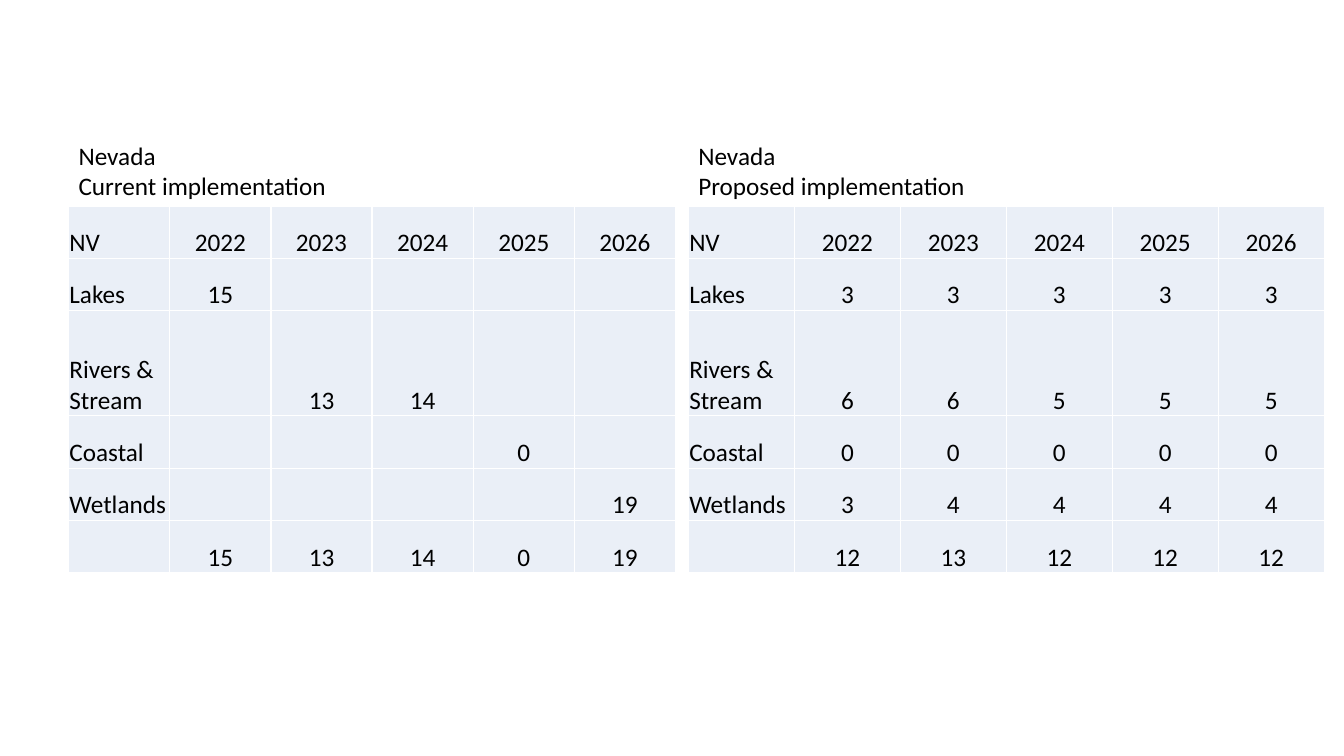
from lxml import etree
from pptx import Presentation
from pptx import util as u
from pptx.dml.color import RGBColor
from pptx.enum import text
from pptx.oxml.ns import qn

BLACK = RGBColor(0x00, 0x00, 0x00)
WHITE = RGBColor(0xFF, 0xFF, 0xFF)
PALE_BLUE = RGBColor(0xEA, 0xEF, 0xF7)

YEARS = [2022, 2023, 2024, 2025, 2026]
HABITATS = ["Lakes", "Rivers & Stream", "Coastal", "Wetlands"]
ROW_HEIGHTS = [1.32, 1.32, 2.65, 1.32, 1.32, 1.32]
TABLE_TOP = 5.19
HEADING_TOP = 3.4
HEADING_HEIGHT = 1.8

PLANS = [
    {
        "name": "Current implementation",
        "left": 1.73,
        "heading_width": 6.81,
        "column": 2.55,
        "counts": [
            [15, None, None, None, None],
            [None, 13, 14, None, None],
            [None, None, None, 0, None],
            [None, None, None, None, 19],
        ],
    },
    {
        "name": "Proposed implementation",
        "left": 17.35,
        "heading_width": 7.29,
        "column": 2.67,
        "counts": [
            [3, 3, 3, 3, 3],
            [6, 6, 5, 5, 5],
            [0, 0, 0, 0, 0],
            [3, 4, 4, 4, 4],
        ],
    },
]


class Deck:
    """Hold the text style and the current slide, and add elements to it."""

    font = {"name": "Calibri", "size": u.Pt(18), "bold": False}
    cell = {
        "vertical_anchor": text.MSO_ANCHOR.BOTTOM,
        "margin_left": u.Cm(0.02),
        "margin_right": u.Cm(0.02),
        "margin_top": u.Cm(0.02),
        "margin_bottom": 0,
    }

    def __init__(self, prs):
        self.s = prs.slides.add_slide(prs.slide_layouts[6])

    def apply(self, target, formats):
        for key, value in formats.items():
            setattr(target, key, value)

    def paragraph(self, p, words, align=text.PP_ALIGN.LEFT):
        p.alignment = align
        self.apply(p.font, self.font)
        p.font.color.rgb = BLACK
        if words:
            r = p.add_run()
            r.text = words
            self.apply(r.font, self.font)
            r.font.color.rgb = BLACK

    def heading(self, left, width, lines):
        sp = self.s.shapes.add_textbox(
            u.Cm(left), u.Cm(HEADING_TOP), u.Cm(width), u.Cm(HEADING_HEIGHT))
        tf = sp.text_frame
        tf.word_wrap = False
        tf.auto_size = text.MSO_AUTO_SIZE.SHAPE_TO_FIT_TEXT
        for i, line in enumerate(lines):
            self.paragraph(tf.add_paragraph() if i else tf.paragraphs[0], line)

    def borders(self, cell):
        tcPr = cell._tc.get_or_add_tcPr()
        for i, side in enumerate(("a:lnL", "a:lnR", "a:lnT", "a:lnB")):
            ln = etree.Element(qn(side), w=str(u.Pt(1)))
            fill = etree.SubElement(ln, qn("a:solidFill"))
            etree.SubElement(fill, qn("a:srgbClr"), val=str(WHITE))
            tcPr.insert(i, ln)

    def table(self, left, column, rows):
        size = len(rows[0])
        table = self.s.shapes.add_table(
            len(rows), size, u.Cm(left), u.Cm(TABLE_TOP),
            u.Cm(column * size), u.Cm(sum(ROW_HEIGHTS))).table
        self.apply(table, {"first_row": False, "horz_banding": False})
        for col in table.columns:
            col.width = u.Cm(column)
        for i, values in enumerate(rows):
            table.rows[i].height = u.Cm(ROW_HEIGHTS[i])
            for j, value in enumerate(values):
                cell = table.cell(i, j)
                self.apply(cell, self.cell)
                cell.fill.solid()
                cell.fill.fore_color.rgb = PALE_BLUE
                self.borders(cell)
                words = "" if value is None else str(value)
                align = text.PP_ALIGN.CENTER if j else text.PP_ALIGN.LEFT
                self.paragraph(cell.text_frame.paragraphs[0], words, align)


def main():
    """Build the slide with the two sampling plans and save it."""
    prs = Presentation()
    prs.slide_width, prs.slide_height = u.Cm(33.87), u.Cm(19.05)
    deck = Deck(prs)
    for plan in PLANS:
        counts = plan["counts"]
        totals = [sum(n or 0 for n in year) for year in zip(*counts)]
        rows = [["NV", *YEARS]]
        rows += [[name, *row] for name, row in zip(HABITATS, counts)]
        rows.append([None, *totals])
        deck.heading(plan["left"], plan["heading_width"], ["Nevada", plan["name"]])
        deck.table(plan["left"], plan["column"], rows)
    prs.save("out.pptx")


if __name__ == "__main__":
    main()
